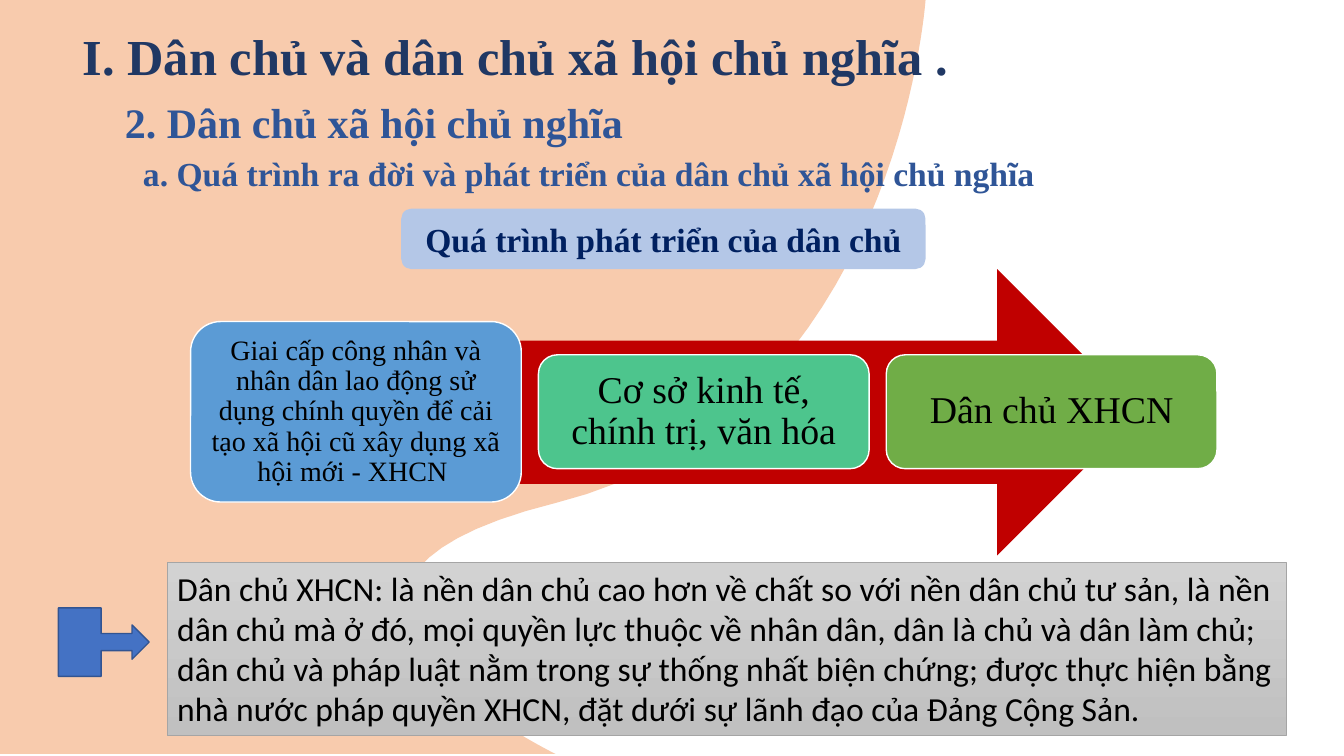
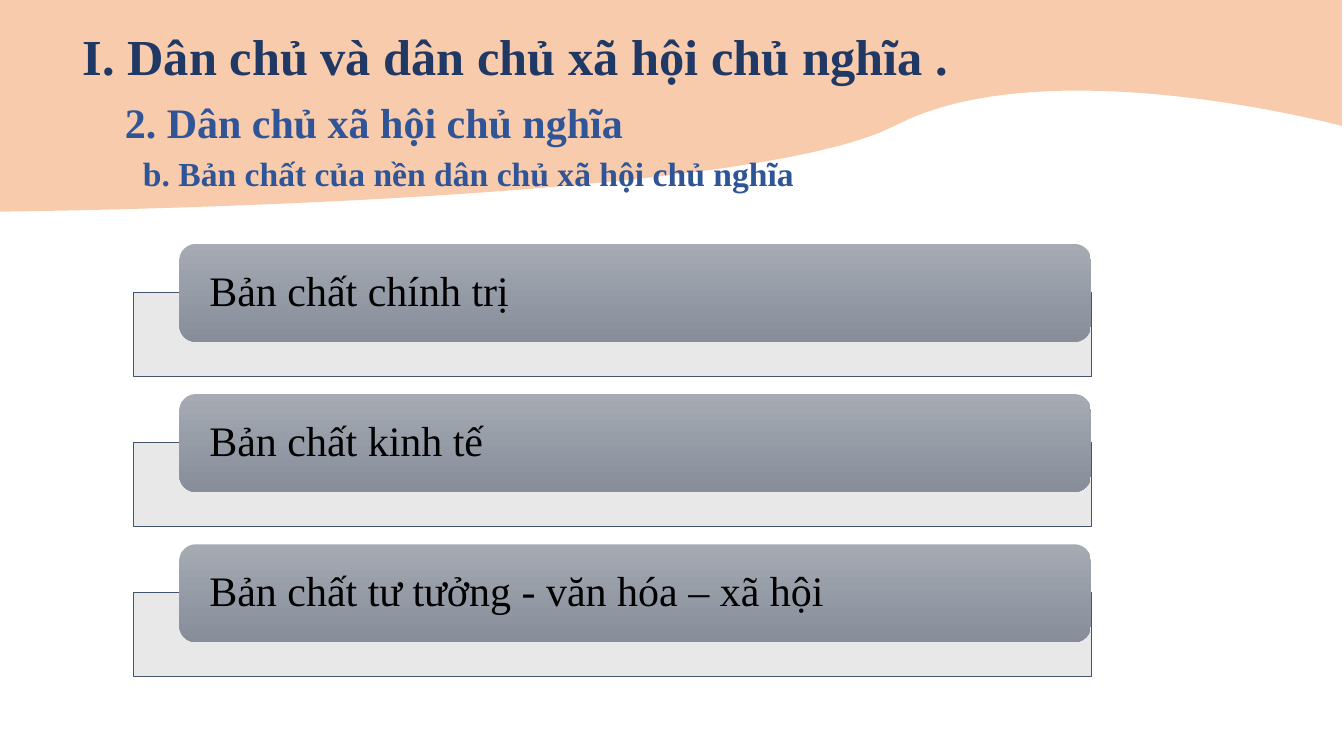
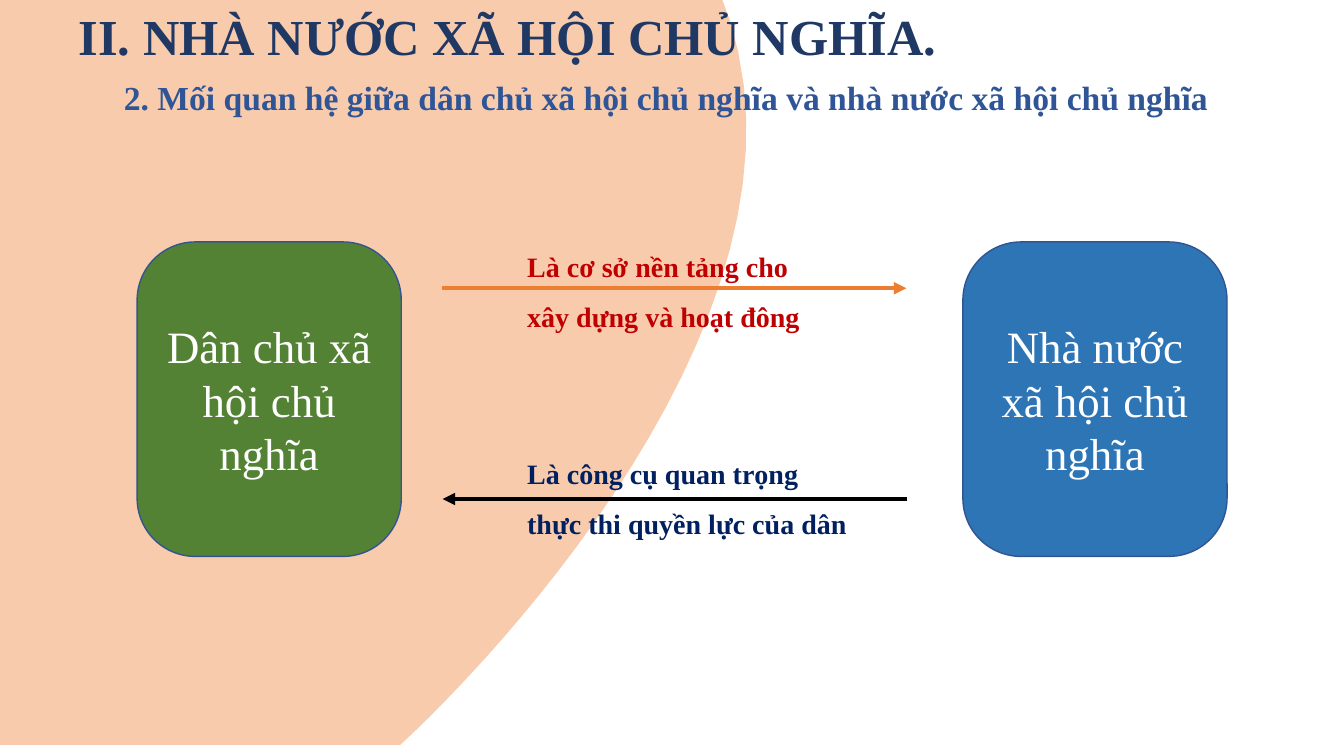
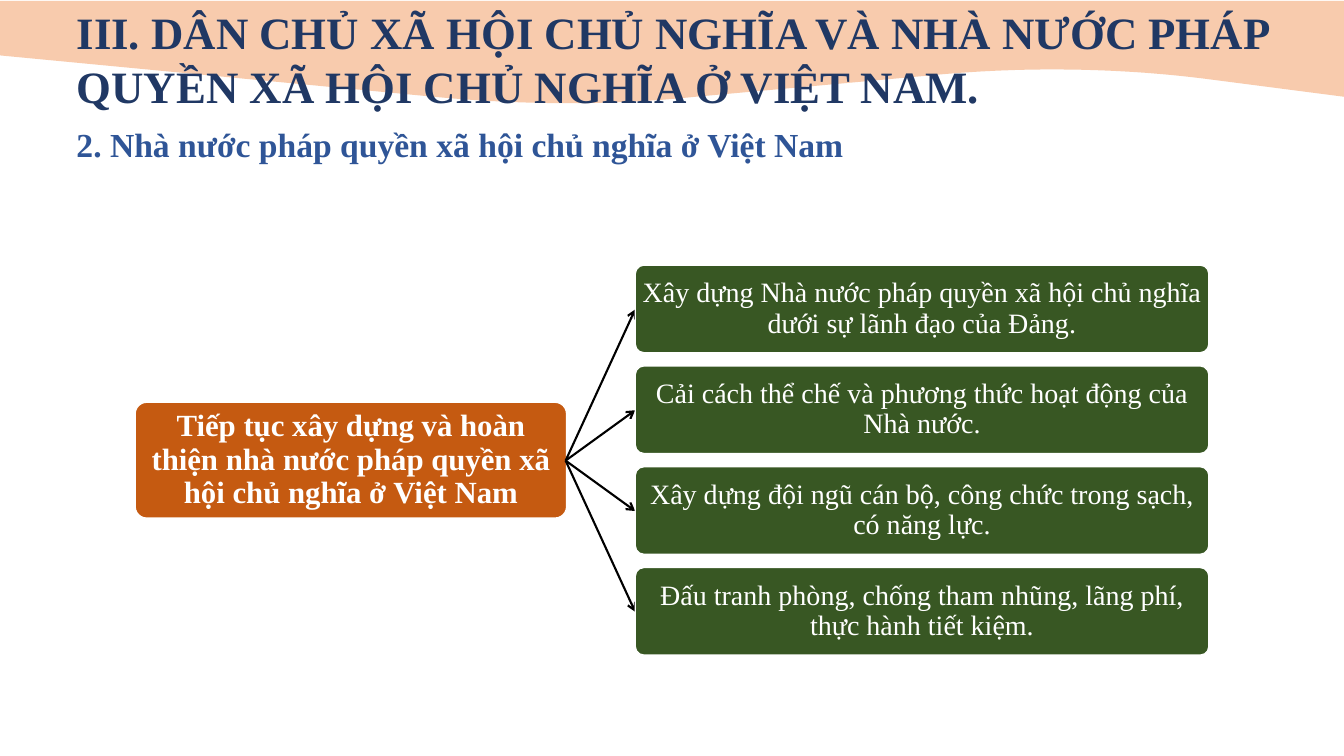
from dataclasses import dataclass

from lxml import etree
from pptx import Presentation
from pptx import util as u
from pptx.dml import color
from pptx.enum import shapes, text
from pptx.oxml import ns

PX = 9144
SHAPE = shapes.MSO_SHAPE


@dataclass(frozen=True)
class Theme:
    """Colours, fonts and type sizes shared by the slides."""

    serif: str = "Times New Roman"
    sans: str = "Calibri"
    wave: str = "F8CBAD"
    title: str = "203864"
    subhead: str = "2F5597"
    navy: str = "002060"
    red: str = "C00000"
    blue: str = "4472C4"
    outline: str = "325491"
    orange: str = "ED7D31"
    rust: str = "C55A11"
    forest: str = "385723"
    black: str = "000000"
    white: str = "FFFFFF"
    banner: str = "B4C7E7"
    silver: tuple = ("D2D2D2", "C0C0C0")
    silver_edge: str = "A5A5A5"
    slate: tuple = ("A5AAB3", "878E9A")
    slate_edge: str = "44546A"
    tray: str = "E9E8E8"
    stages: tuple = ("5B9BD5", "4DC58D", "70AD47")
    sides: tuple = ("548235", "2E75B6")
    huge: int = 36
    large: int = 32
    section: int = 30
    stage: int = 27
    heading: int = 24
    root: int = 22
    body: int = 20


THEME = Theme()


def apply(target, values):
    """Set each named attribute of the target."""
    for name, value in values.items():
        setattr(target, name, value)


def bezier(start, curve, steps=32):
    """Return points along a cubic curve that leaves start."""
    (x0, y0), (x1, y1, x2, y2, x3, y3) = start, curve
    points = []
    for step in range(1, steps + 1):
        t = step / steps
        s = 1 - t
        weights = (s ** 3, 3 * s * s * t, 3 * s * t * t, t ** 3)
        points.append((sum(w * x for w, x in zip(weights, (x0, x1, x2, x3))),
                       sum(w * y for w, y in zip(weights, (y0, y1, y2, y3)))))
    return points


class Deck:
    """Holds the style and the current slide."""

    def __init__(self, theme):
        """Start an empty wide presentation."""
        self.theme = theme
        self.prs = Presentation()
        apply(self.prs, {"slide_width": 1333 * PX, "slide_height": 750 * PX})

    def new_slide(self, title, title_box, title_size, wave):
        """Add a slide with its coloured wave and title."""
        self.slide = self.prs.slides.add_slide(self.prs.slide_layouts[5])
        self.wave(*wave)
        heading = self.slide.shapes.title
        names = ("left", "top", "width", "height")
        apply(heading, dict(zip(names, (n * PX for n in title_box))))
        self.set_text(heading, title, title_size, self.theme.title, bold=True)

    def wave(self, start, *segments):
        """Draw the background outline behind everything else."""
        points = [start]
        for segment in segments:
            points += [segment] if len(segment) == 2 else bezier(points[-1], segment)
        emu = [(round(x * PX), round(y * PX)) for x, y in points]
        builder = self.slide.shapes.build_freeform(*emu[0], scale=1.0)
        builder.add_line_segments(emu[1:], close=True)
        outline = builder.convert_to_shape()
        self.paint(outline, self.theme.wave)
        self.slide.shapes.element.insert(2, outline.element)

    def paint(self, shape, fill, line=None, width=1):
        """Fill and outline a shape; a pair of colours makes a gradient."""
        shape.shadow.inherit = False
        if isinstance(fill, tuple):
            shape.fill.gradient()
            shape.fill.gradient_angle = 270
            for stop, value in zip(shape.fill.gradient_stops, fill):
                stop.color.rgb = color.RGBColor.from_string(value)
        else:
            shape.fill.solid()
            shape.fill.fore_color.rgb = color.RGBColor.from_string(fill)
        if line:
            shape.line.color.rgb = color.RGBColor.from_string(line)
            shape.line.width = u.Pt(width)
        else:
            shape.line.fill.background()

    def set_text(self, shape, words, size, ink, bold=False, font=None, centre=False,
                 middle=False, spacing=1.0, inset=(10, 5)):
        """Put one formatted paragraph into a shape."""
        frame = shape.text_frame
        across, down = (n * PX for n in inset)
        apply(frame, {
            "word_wrap": True,
            "auto_size": text.MSO_AUTO_SIZE.NONE,
            "vertical_anchor": text.MSO_ANCHOR.MIDDLE if middle else text.MSO_ANCHOR.TOP,
            "margin_left": across, "margin_right": across,
            "margin_top": down, "margin_bottom": down,
        })
        paragraph = frame.paragraphs[0]
        paragraph.text = words
        apply(paragraph, {
            "alignment": text.PP_ALIGN.CENTER if centre else text.PP_ALIGN.LEFT,
            "line_spacing": spacing,
        })
        run_font = paragraph.runs[0].font
        apply(run_font, {"name": font or self.theme.serif, "size": u.Pt(size), "bold": bold})
        run_font.color.rgb = color.RGBColor.from_string(ink)

    def label(self, box, words, size, ink, spacing=1.0):
        """Add bold free-standing text."""
        holder = self.slide.shapes.add_textbox(*(n * PX for n in box))
        self.set_text(holder, words, size, ink, bold=True, spacing=spacing)

    def block(self, kind, box, fill, line=None, width=1, adjust=None, words=None, **style):
        """Add a preset shape, with text when words are given."""
        shape = self.slide.shapes.add_shape(kind, *(n * PX for n in box))
        for index, value in (adjust or {}).items():
            shape.adjustments[index] = value
        self.paint(shape, fill, line, width)
        if words:
            self.set_text(shape, words, **style)

    def arrow(self, start, end, ink, width, head):
        """Draw a straight line with an arrowhead at its end."""
        ends = (n * PX for n in (*start, *end))
        link = self.slide.shapes.add_connector(shapes.MSO_CONNECTOR.STRAIGHT, *ends)
        link.line.color.rgb = color.RGBColor.from_string(ink)
        link.line.width = u.Pt(width)
        properties = link.element.spPr
        etree.SubElement(properties.get_or_add_ln(), ns.qn("a:tailEnd"), type=head)
        etree.SubElement(properties, ns.qn("a:effectLst"))

    def democracy_slide(self, topic, wave):
        """Start a slide of part I with its section and topic."""
        t = self.theme
        self.new_slide("I. Dân chủ và dân chủ xã hội chủ nghĩa .", (72, 20, 900, 71), t.huge, wave)
        self.label((114, 91, 913, 61), "2. Dân chủ xã hội chủ nghĩa", t.section, t.subhead)
        self.label((132, 147, 913, 50), topic, t.heading, t.subhead)


def development(deck):
    """Build the slide on how democracy develops."""
    t = deck.theme
    deck.democracy_slide(
        "a. Quá trình ra đời và phát triển của dân chủ xã hội chủ nghĩa",
        ((0, 0), (918, 0), (918, 0, 889, 415, 551, 499), (213, 583, 551, 748, 551, 748), (0, 748)))
    deck.block(SHAPE.ROUNDED_RECTANGLE, (398, 207, 520, 60), t.banner,
               words="Quá trình phát triển của dân chủ", size=t.heading, ink=t.navy,
               bold=True, centre=True, middle=True)
    deck.block(SHAPE.RIGHT_ARROW, (264, 267, 867, 284), t.red)
    stages = (
        ("Giai cấp công nhân và nhân dân lao động sử dụng chính quyền để cải tạo xã hội cũ "
         "xây dụng xã hội mới - XHCN ", t.body, 179, 8),
        ("Cơ sở kinh tế, chính trị, văn hóa", t.stage, 113, 11),
        ("Dân chủ XHCN", t.stage, 113, 11),
    )
    for index, (words, size, height, inset) in enumerate(stages):
        deck.block(SHAPE.ROUNDED_RECTANGLE, (189 + 345 * index, 409 - (height + 1) // 2, 328, height),
                   t.stages[index], t.white, words=words, size=size, ink=t.black, centre=True,
                   middle=True, spacing=0.9, inset=(inset, inset))
    deck.block(SHAPE.RIGHT_ARROW_CALLOUT, (58, 603, 90, 68), t.blue, t.outline, adjust={3: 0.47})
    deck.block(SHAPE.RECTANGLE, (166, 558, 1110, 172), t.silver, t.silver_edge, 0.5,
               words="Dân chủ XHCN: là nền dân chủ cao hơn về chất so với nền dân chủ tư sản, "
                     "là nền dân chủ mà ở đó, mọi quyền lực thuộc về nhân dân, dân là chủ và dân "
                     "làm chủ; dân chủ và pháp luật nằm trong sự thống nhất biện chứng; được thực "
                     "hiện bằng nhà nước pháp quyền XHCN, đặt dưới sự lãnh đạo của Đảng Cộng Sản.",
               size=t.heading, ink=t.black, font=t.sans)


def nature(deck):
    """Build the slide on the nature of democracy."""
    t = deck.theme
    deck.democracy_slide(
        "b. Bản chất của nền dân chủ xã hội chủ nghĩa",
        ((0, 0), (0, 210), (0, 210, 738, 203, 887, 125), (1037, 46, 1331, 125, 1331, 125), (1331, 0)))
    aspects = ("Bản chất chính trị", "Bản chất kinh tế", "Bản chất tư tưởng - văn hóa – xã hội")
    for index, aspect in enumerate(aspects):
        top = 242 + 149 * index
        deck.block(SHAPE.RECTANGLE, (132, top + 48, 950, 83), t.tray, t.slate_edge, 0.5)
        deck.block(SHAPE.ROUNDED_RECTANGLE, (178, top, 904, 97), t.slate,
                   words=aspect, size=t.section, ink=t.black, middle=True, spacing=0.9,
                   inset=(25, 0))


def relation(deck):
    """Build the slide on democracy and the state."""
    t = deck.theme
    deck.new_slide("II. NHÀ NƯỚC XÃ HỘI CHỦ NGHĨA.", (68, 0, 900, 71), t.huge,
                   ((0, -12), (0, 739), (397, 739), (397, 739, 857, 325, 712, -12)))
    deck.label((113, 71, 1162, 50),
               "2. Mối quan hệ giữa dân chủ xã hội chủ nghĩa và nhà nước xã hội chủ nghĩa",
               t.heading, t.subhead)
    sides = ((136, "Dân chủ xã hội chủ nghĩa"), (955, "Nhà nước xã hội chủ nghĩa"))
    for fill, (left, side) in zip(t.sides, sides):
        deck.block(SHAPE.ROUNDED_RECTANGLE, (left, 240, 262, 312), fill, t.outline,
                   adjust={0: 0.22}, words=side, size=t.large, ink=t.white,
                   centre=True, middle=True)
    links = (
        ((438, 286), (899, 286), t.orange, (513, 226, 301, 105), t.red,
         "Là cơ sở nền tảng cho xây dựng và hoạt đông"),
        ((900, 495), (439, 495), t.black, (513, 431, 344, 105), t.navy,
         "Là công cụ quan trọng thực thi quyền lực của dân"),
    )
    for start, end, stroke, box, ink, role in links:
        deck.arrow(start, end, stroke, 3, "triangle")
        deck.label(box, role, t.body, ink, spacing=1.5)


def rule_of_law(deck):
    """Build the slide on the rule-of-law state."""
    t = deck.theme
    deck.new_slide("III. DÂN CHỦ XÃ HỘI CHỦ NGHĨA VÀ NHÀ NƯỚC PHÁP QUYỀN XÃ HỘI CHỦ NGHĨA Ở VIỆT NAM.",
                   (66, 0, 1233, 118), t.large,
                   ((0, 55), (430, 96), (515, 104, 605, 105, 690, 96), (921, 75),
                    (1011, 66, 1106, 67, 1194, 78), (1333, 96), (1333, 1), (0, 1)))
    deck.label((66, 118, 1162, 50), "2. Nhà nước pháp quyền xã hội chủ nghĩa ở Việt Nam",
               t.heading, t.subhead)
    card = {"line": t.white, "adjust": {0: 0.1}, "ink": t.white, "centre": True,
            "middle": True, "spacing": 0.9}
    deck.block(SHAPE.ROUNDED_RECTANGLE, (134, 399, 428, 115), t.rust,
               words="Tiếp tục xây dựng và hoàn thiện nhà nước pháp quyền xã hội chủ nghĩa ở Việt Nam",
               size=t.root, bold=True, inset=(2, 2), **card)
    tasks = (
        "Xây dựng Nhà nước pháp quyền xã hội chủ nghĩa dưới sự lãnh đạo của Đảng.",
        "Cải cách thể chế và phương thức hoạt động của Nhà nước.",
        "Xây dựng đội ngũ cán bộ, công chức trong sạch, có năng lực.",
        "Đấu tranh phòng, chống tham nhũng, lãng phí, thực hành tiết kiệm.",
    )
    for index, task in enumerate(tasks):
        top = 263 + 100 * index
        deck.arrow((561, 457), (630, top + 44), t.black, 1.5, "arrow")
        deck.block(SHAPE.ROUNDED_RECTANGLE, (630, top, 569, 87), t.forest,
                   words=task, size=t.body, inset=(1, 1), **card)


def main():
    """Build and save the presentation."""
    deck = Deck(THEME)
    for build in (development, nature, relation, rule_of_law):
        build(deck)
    deck.prs.save("out.pptx")


if __name__ == "__main__":
    main()
